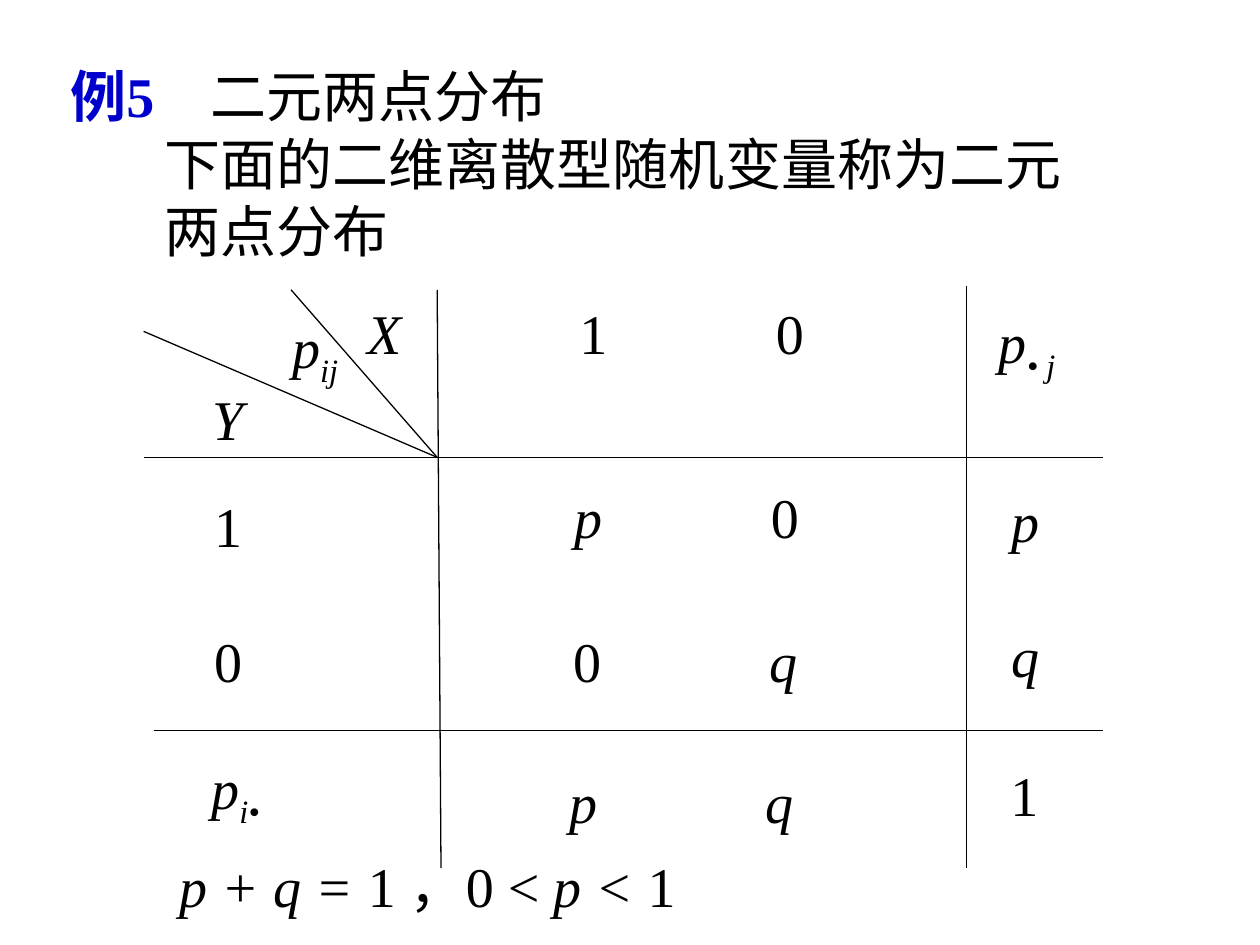
import pptx
import pptx.util
import pptx.dml.color
import pptx.enum.shapes
import pptx.oxml.ns
from lxml import etree
from pptx.util import Inches

COLORS = {"text": "000000", "label": "0000CC"}
FONT = "Times New Roman"
SIZE = 32
COLUMN_GAP = 1.56
ROW_GAP = 39


def rgb(name):
    return pptx.dml.color.RGBColor.from_string(COLORS[name])


def add_run(p, text, italic=False, bold=False, color="text", sub=False):
    r = p.add_run()
    r.text = text
    r.font.name = FONT
    r.font.size = pptx.util.Pt(SIZE)
    r.font.italic = italic
    r.font.bold = bold
    r.font.color.rgb = rgb(color)
    if sub:
        r.font._element.set("baseline", "-25000")


def add_tab_stop(p, pos):
    tabs = etree.SubElement(p._p.get_or_add_pPr(), pptx.oxml.ns.qn("a:tabLst"))
    etree.SubElement(tabs, pptx.oxml.ns.qn("a:tab"), pos=str(Inches(pos)), algn="l")


def add_text(s, x, y, w, h, *paragraphs, gap=0, tab=None):
    """Add a text box; each paragraph is a list of (text, format) runs."""
    tf = s.shapes.add_textbox(Inches(x), Inches(y), Inches(w), Inches(h)).text_frame
    tf.word_wrap = True
    for i, runs in enumerate(paragraphs):
        p = tf.add_paragraph() if i else tf.paragraphs[0]
        if i and gap:
            p.space_before = pptx.util.Pt(gap)
        if tab:
            add_tab_stop(p, tab)
        for text, fmt in runs:
            add_run(p, text, **fmt)


def add_line(s, x1, y1, x2, y2):
    c = s.shapes.add_connector(pptx.enum.shapes.MSO_CONNECTOR.STRAIGHT,
                               Inches(x1), Inches(y1), Inches(x2), Inches(y2))
    c.line.color.rgb = rgb("text")
    c.line.width = pptx.util.Pt(0.75)
    etree.SubElement(c._element.spPr, pptx.oxml.ns.qn("a:effectLst"))


def main():
    prs = pptx.Presentation()
    prs.slide_width, prs.slide_height = Inches(10), Inches(7.5)
    s = prs.slides.add_slide(prs.slide_layouts[6])
    plain, var, sub = {}, {"italic": True}, {"italic": True, "sub": True}

    add_text(s, 0.46, 0.44, 4.1, 0.64,
             [("例5", {"bold": True, "color": "label"}), ("\t二元两点分布", plain)], tab=1.11)
    add_text(s, 1.21, 0.98, 7.4, 1.17,
             [("下面的二维离散型随机变量称为二元", plain)], [("两点分布", plain)])

    for ends in [(1.14, 3.63, 8.75, 3.63), (1.22, 5.8, 8.75, 5.8),
                 (7.67, 2.27, 7.67, 6.89), (3.47, 2.3, 3.5, 6.89),
                 (2.31, 2.3, 3.47, 3.63), (1.14, 2.63, 3.47, 3.63)]:
        add_line(s, *ends)

    # Corner and margin headings
    add_text(s, 2.82, 2.32, 0.47, 0.64, [("X", var)])
    add_text(s, 1.59, 3, 0.56, 0.64, [("Y", var)])
    for x, y, w, index in [(2.22, 2.43, 0.7, "ij"), (7.83, 2.39, 1.15, "• j"),
                           (1.58, 5.93, 0.99, "i•")]:
        add_text(s, x, y, w, 0.71, [("p", var), (index, sub)])

    # Values of X, joint probabilities and column sums
    for x, y, left, right in [(4.5, 2.32, ("1", plain), ("0", plain)),
                              (4.46, 3.78, ("p", var), ("0", plain)),
                              (4.45, 4.92, ("0", plain), ("q", var)),
                              (4.42, 6.04, ("p", var), ("q", var))]:
        add_text(s, x, y, 2.2, 0.64, [left, ("\t", plain), right], tab=COLUMN_GAP)

    # Values of Y and row sums
    add_text(s, 1.6, 3.85, 0.42, 1.7, [("1", plain)], [("0", plain)], gap=ROW_GAP)
    add_text(s, 7.93, 3.81, 0.68, 1.7, [("p", var)], [("q", var)], gap=ROW_GAP)
    add_text(s, 7.92, 5.99, 0.42, 0.64, [("1", plain)])

    add_text(s, 1.33, 6.71, 4.58, 0.64,
             [("p + q = ", var), ("1 ，0 < ", plain), ("p < ", var), ("1", plain)])
    prs.save("out.pptx")


if __name__ == "__main__":
    main()
